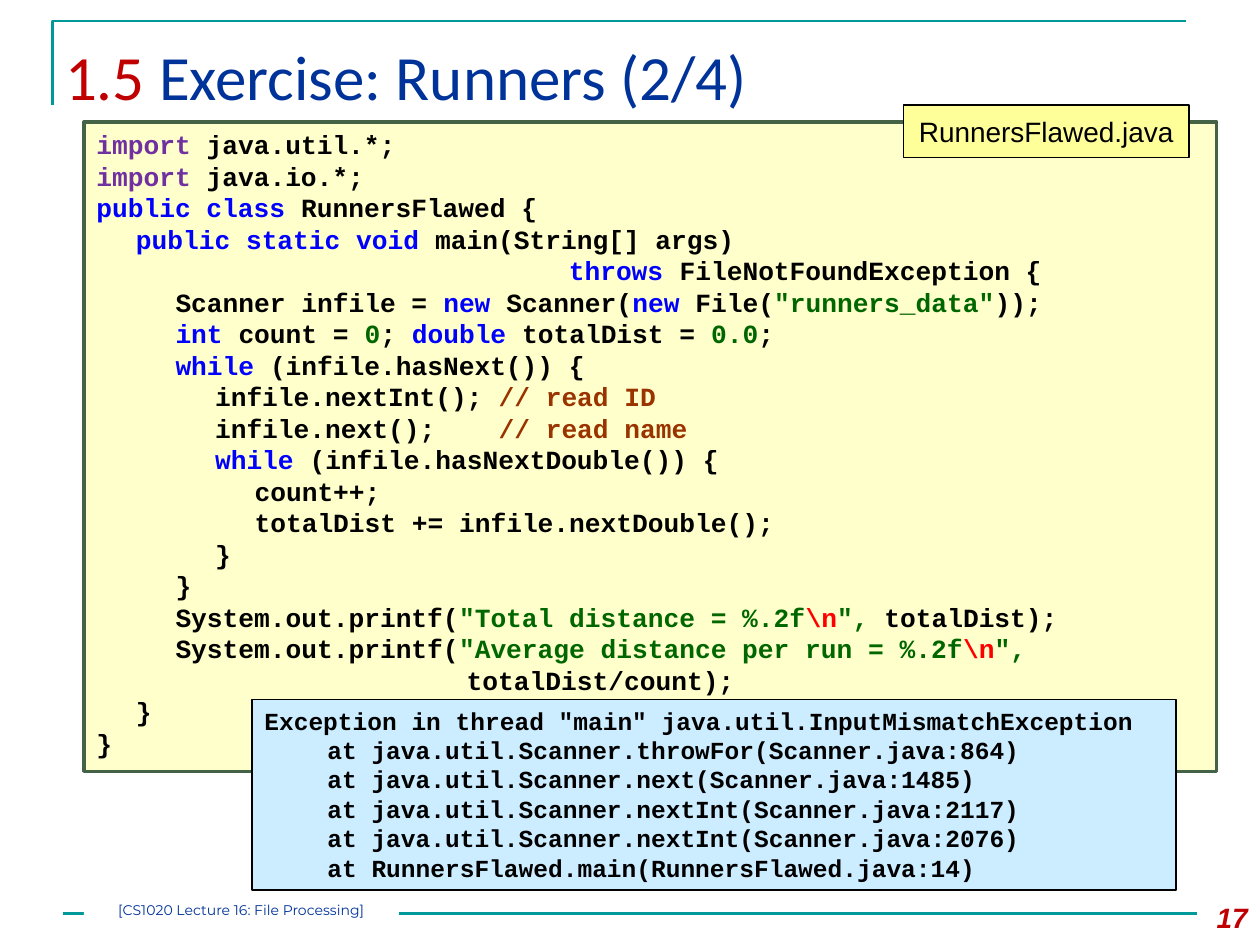
from typing import NamedTuple, Optional

from lxml import etree
from pptx import Presentation
from pptx import util as u
from pptx.dml.color import RGBColor
from pptx.enum import shapes, text
from pptx.oxml import ns

TEAL = RGBColor(0x00, 0x99, 0x99)
NAVY = RGBColor(0x00, 0x33, 0x99)
CRIMSON = RGBColor(0xC0, 0x00, 0x00)
WHITE = RGBColor(0xFF, 0xFF, 0xFF)
BLACK = RGBColor(0x00, 0x00, 0x00)
CREAM = RGBColor(0xFF, 0xFF, 0xCC)
YELLOW = RGBColor(0xFF, 0xFF, 0x99)
SKY = RGBColor(0xCC, 0xEC, 0xFF)
MOSS = RGBColor(0x44, 0x62, 0x46)
PURPLE = RGBColor(0x70, 0x30, 0xA0)
BLUE = RGBColor(0x00, 0x00, 0xFF)
GREEN = RGBColor(0x00, 0x66, 0x00)
BROWN = RGBColor(0x99, 0x33, 0x00)
RED = RGBColor(0xFF, 0x00, 0x00)

LEFT, CENTER, RIGHT = text.PP_ALIGN.LEFT, text.PP_ALIGN.CENTER, text.PP_ALIGN.RIGHT
TOP, MIDDLE = text.MSO_ANCHOR.TOP, text.MSO_ANCHOR.MIDDLE
TAB_STEP = 22.6
TAB_COUNT = 4


class Run(NamedTuple):
    words: str
    color: RGBColor = BLACK


class Panel(NamedTuple):
    left: float
    top: float
    width: float
    height: float
    fill: RGBColor
    lines: list
    font: dict
    border: Optional[RGBColor] = None
    border_width: float = 0
    align: text.PP_ALIGN = LEFT
    anchor: text.MSO_ANCHOR = TOP
    inset: Optional[float] = None
    tabbed: bool = False


CODE_FONT = {"name": "Courier New", "size": u.Pt(15), "bold": True}
TRACE_FONT = {**CODE_FONT, "size": u.Pt(14)}
FILE_FONT = {"name": "Arial", "size": u.Pt(16)}
NUMBER_FONT = {**FILE_FONT, "bold": True, "italic": True}
FOOTER_FONT = {"name": "Montserrat", "size": u.Pt(8)}
TITLE_FONT = {"name": "Calibri", "size": u.Pt(36), "bold": False}

CODE = [
    [Run("import ", PURPLE), Run("java.util.*;")],
    [Run("import", PURPLE), Run(" java.io.*;")],
    [Run("public class ", BLUE), Run("RunnersFlawed {")],
    [Run("\tpublic static void ", BLUE), Run("main(String[] args)")],
    [Run("\t\t                         throws ", BLUE), Run("FileNotFoundException {")],
    [Run("\t\tScanner infile = "), Run("new", BLUE), Run(" Scanner("), Run("new", BLUE),
     Run(" File("), Run('"runners_data"', GREEN), Run("));")],
    [Run("\t\tint", BLUE), Run(" count = "), Run("0", GREEN), Run("; "),
     Run("double ", BLUE), Run("totalDist = "), Run("0.0", GREEN), Run(";")],
    [Run("\t\twhile ", BLUE), Run("(infile.hasNext()) {")],
    [Run("\t\t\tinfile.nextInt(); "), Run("// read ID", BROWN)],
    [Run("\t\t\tinfile.next();    "), Run("// read name", BROWN)],
    [Run("\t\t\twhile", BLUE), Run(" (infile.hasNextDouble()) {")],
    [Run("\t\t\t\tcount++;")],
    [Run("\t\t\t\ttotalDist += infile.nextDouble();")],
    [Run("\t\t\t}")],
    [Run("\t\t}")],
    [Run("\t\tSystem.out.printf("), Run('"Total distance = %.2f', GREEN),
     Run("\\n", RED), Run('", ', GREEN), Run("totalDist);")],
    [Run("\t\tSystem.out.printf("), Run('"Average distance per run = %.2f', GREEN),
     Run("\\n", RED), Run('",', GREEN)],
    [Run("\t\t\t                totalDist/count);")],
    [Run("\t}")],
    [Run("}")],
]

CALLS = [
    "java.util.Scanner.throwFor(Scanner.java:864)",
    "java.util.Scanner.next(Scanner.java:1485)",
    "java.util.Scanner.nextInt(Scanner.java:2117)",
    "java.util.Scanner.nextInt(Scanner.java:2076)",
    "RunnersFlawed.main(RunnersFlawed.java:14)",
]
TRACE = [[Run('Exception in thread "main" java.util.InputMismatchException')]]
TRACE += [[Run(f"\tat {call}")] for call in CALLS]

PANELS = [
    Panel(48, 515, 180, 13, WHITE, [[Run("[CS1020 Lecture 16: File Processing]", NAVY)]],
          FOOTER_FONT, align=CENTER, inset=0),
    Panel(48, 69.8, 647.3, 371, CREAM, CODE, CODE_FONT, MOSS, 2, tabbed=True),
    Panel(516.4, 60, 163, 30, YELLOW, [[Run("RunnersFlawed.java")]], FILE_FONT,
          BLACK, 1, CENTER, MIDDLE),
    Panel(144, 399.6, 528, 109, SKY, TRACE, TRACE_FONT, BLACK, 0.75),
]


def apply(target, values: dict) -> None:
    for key, value in values.items():
        setattr(target, key, value)


def add_tabs(paragraph) -> None:
    tabs = etree.SubElement(paragraph._p.get_or_add_pPr(), ns.qn("a:tabLst"))
    for step in range(1, TAB_COUNT + 1):
        etree.SubElement(tabs, ns.qn("a:tab"), pos=str(u.Pt(step * TAB_STEP)), algn="l")


def write(frame, lines: list, font: dict, align=LEFT, anchor=TOP, tabbed=False) -> None:
    apply(frame, {"word_wrap": True, "auto_size": text.MSO_AUTO_SIZE.NONE,
                  "vertical_anchor": anchor})
    for index, line in enumerate(lines):
        paragraph = frame.add_paragraph() if index else frame.paragraphs[0]
        paragraph.alignment = align
        if tabbed:
            add_tabs(paragraph)
        for part in line:
            run = paragraph.add_run()
            run.text = part.words
            apply(run.font, font)
            run.font.color.rgb = part.color


def add_panel(slide, panel: Panel) -> None:
    box = slide.shapes.add_shape(shapes.MSO_SHAPE.RECTANGLE, *map(u.Pt, panel[:4]))
    box.shadow.inherit = False
    box.fill.solid()
    box.fill.fore_color.rgb = panel.fill
    if panel.border is None:
        box.line.fill.background()
    else:
        box.line.color.rgb = panel.border
        box.line.width = u.Pt(panel.border_width)
    if panel.inset is not None:
        sides = ("left", "top", "right", "bottom")
        apply(box.text_frame, {f"margin_{side}": u.Pt(panel.inset) for side in sides})
    write(box.text_frame, panel.lines, panel.font, panel.align, panel.anchor, panel.tabbed)


def add_rules(slide) -> None:
    builder = slide.shapes.build_freeform(30, 60, scale=u.Pt(1))
    builder.add_line_segments([(30, 12), (678, 12)], close=False)
    corner = builder.convert_to_shape()
    corner.fill.background()
    corner.shadow.inherit = False
    footer = slide.shapes.add_connector(
        shapes.MSO_CONNECTOR.STRAIGHT, *map(u.Pt, (36, 522, 684, 522)))
    for rule in (corner, footer):
        rule.line.color.rgb = TEAL
        rule.line.width = u.Pt(1.5)
    etree.SubElement(footer._element.spPr, ns.qn("a:effectLst"))


def main() -> None:
    deck = Presentation()
    apply(deck, {"slide_width": u.Pt(720), "slide_height": u.Pt(540)})
    slide = deck.slides.add_slide(deck.slide_layouts[5])
    title = slide.shapes.title
    apply(title, {"left": u.Pt(30), "top": u.Pt(18),
                  "width": u.Pt(672), "height": u.Pt(62)})
    write(title.text_frame,
          [[Run("1.5", CRIMSON), Run(" Exercise: Runners (2/4)", NAVY)]], TITLE_FONT)
    add_rules(slide)
    number = slide.shapes.add_textbox(*map(u.Pt, (672, 511, 48, 29)))
    write(number.text_frame, [[Run("17", CRIMSON)]], NUMBER_FONT, RIGHT)
    for panel in PANELS:
        add_panel(slide, panel)
    deck.save("out.pptx")


if __name__ == "__main__":
    main()
